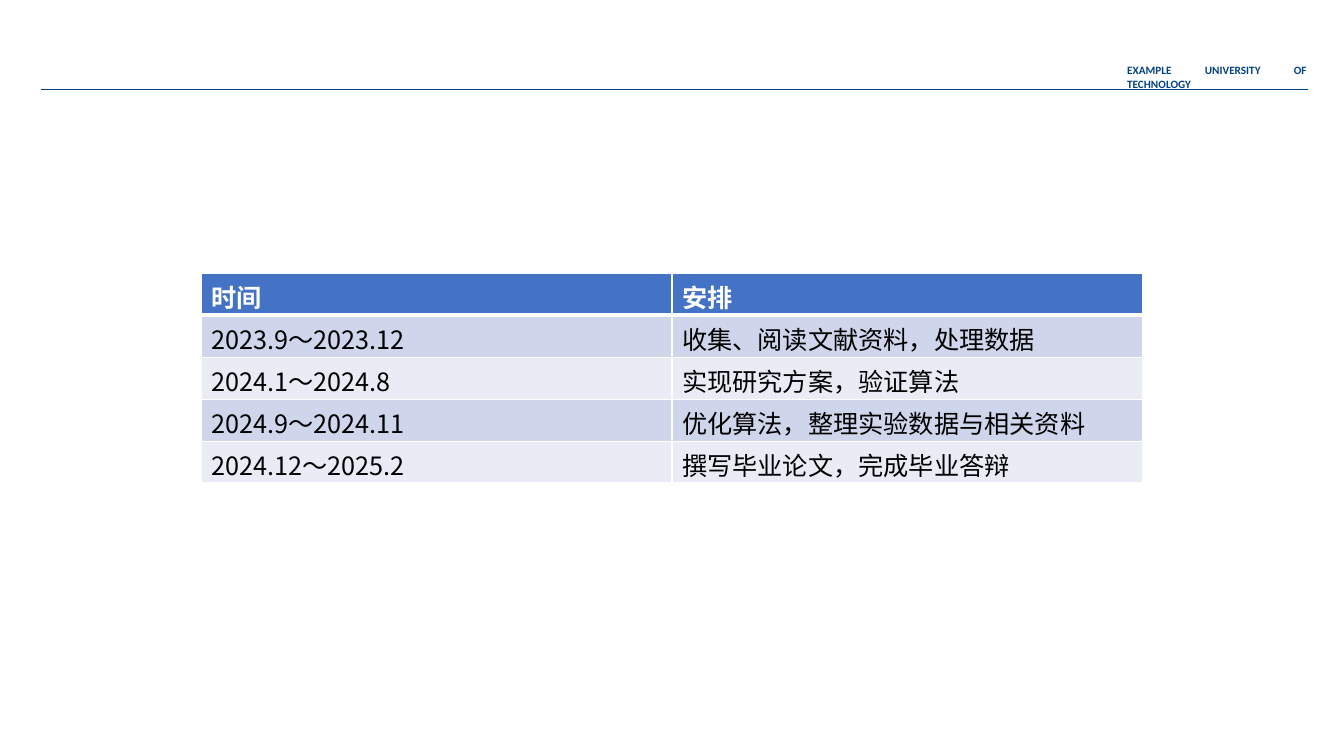
from lxml.etree import SubElement
from pptx import Presentation
from pptx.dml.color import RGBColor
from pptx.enum.shapes import MSO_CONNECTOR
from pptx.enum.text import MSO_ANCHOR, MSO_AUTO_SIZE, PP_ALIGN
from pptx.oxml import parse_xml
from pptx.oxml.ns import nsdecls, qn
from pptx.util import Pt

NAVY = RGBColor(0x02, 0x42, 0x82)
HEADER_BLUE = RGBColor(0x44, 0x72, 0xC4)
BAND_DARK = RGBColor(0xCF, 0xD5, 0xEA)
BAND_LIGHT = RGBColor(0xE9, 0xEB, 0xF5)
WHITE = RGBColor(0xFF, 0xFF, 0xFF)
BLACK = RGBColor(0x00, 0x00, 0x00)

LATIN_FONT = "Calibri"
CHINESE_FONT = "Noto Sans CJK SC"

SCHEDULE = [
    ("时间", "安排"),
    ("2023.9～2023.12", "收集、阅读文献资料，处理数据"),
    ("2024.1～2024.8", "实现研究方案，验证算法"),
    ("2024.9～2024.11", "优化算法，整理实验数据与相关资料"),
    ("2024.12～2025.2", "撰写毕业论文，完成毕业答辩"),
]


def format_run(run, font_name, size, color, bold):
    run.font.name = font_name
    run.font.size = Pt(size)
    run.font.color.rgb = color
    run.font.bold = bold
    east_asian = SubElement(run.font._element, qn("a:ea"))
    east_asian.set("typeface", font_name)


def set_borders(cell, color, widths):
    properties = cell._tc.get_or_add_tcPr()
    for position, (side, width) in enumerate(widths.items()):
        border = parse_xml(
            f'<a:ln{side} {nsdecls("a")} w="{Pt(width)}">'
            f'<a:solidFill><a:srgbClr val="{color}"/></a:solidFill></a:ln{side}>'
        )
        properties.insert(position, border)


def add_header(slide, left, top, width, height):
    rule_top = Pt(top + height)
    rule = slide.shapes.add_connector(
        MSO_CONNECTOR.STRAIGHT, Pt(left), rule_top, Pt(left + width), rule_top
    )
    rule.line.color.rgb = NAVY
    rule.line.width = Pt(0.75)
    SubElement(rule._element.spPr, qn("a:effectLst"))

    label = slide.shapes.add_textbox(
        Pt(left + width - 136), Pt(top), Pt(142.6), Pt(17.3)
    )
    text_frame = label.text_frame
    text_frame.word_wrap = True
    text_frame.auto_size = MSO_AUTO_SIZE.SHAPE_TO_FIT_TEXT
    text_frame.text = "EXAMPLE UNIVERSITY OF TECHNOLOGY"
    paragraph = text_frame.paragraphs[0]
    paragraph.alignment = PP_ALIGN.JUSTIFY
    format_run(paragraph.runs[0], LATIN_FONT, 8, NAVY, True)


def add_schedule(slide, left, top, width, height):
    table = slide.shapes.add_table(
        len(SCHEDULE), len(SCHEDULE[0]), Pt(left), Pt(top), Pt(width), Pt(height)
    ).table
    for row_index, entries in enumerate(SCHEDULE):
        is_header = row_index == 0
        band = BAND_DARK if row_index % 2 else BAND_LIGHT
        widths = {
            "L": 1,
            "R": 1,
            "T": 3 if row_index == 1 else 1,
            "B": 3 if is_header else 1,
        }
        for column_index, entry in enumerate(entries):
            cell = table.cell(row_index, column_index)
            cell.vertical_anchor = MSO_ANCHOR.TOP
            cell.fill.solid()
            cell.fill.fore_color.rgb = HEADER_BLUE if is_header else band
            set_borders(cell, WHITE, widths)
            cell.text_frame.text = entry
            run = cell.text_frame.paragraphs[0].runs[0]
            format_run(run, CHINESE_FONT, 18, WHITE if is_header else BLACK, is_header)


def main():
    presentation = Presentation()
    presentation.slide_width = Pt(960)
    presentation.slide_height = Pt(540)
    slide = presentation.slides.add_slide(presentation.slide_layouts[6])
    add_header(slide, 29, 41.8, 905, 22.3)
    add_schedule(slide, 144, 195.1, 672, 150)
    presentation.save("out.pptx")


if __name__ == "__main__":
    main()
